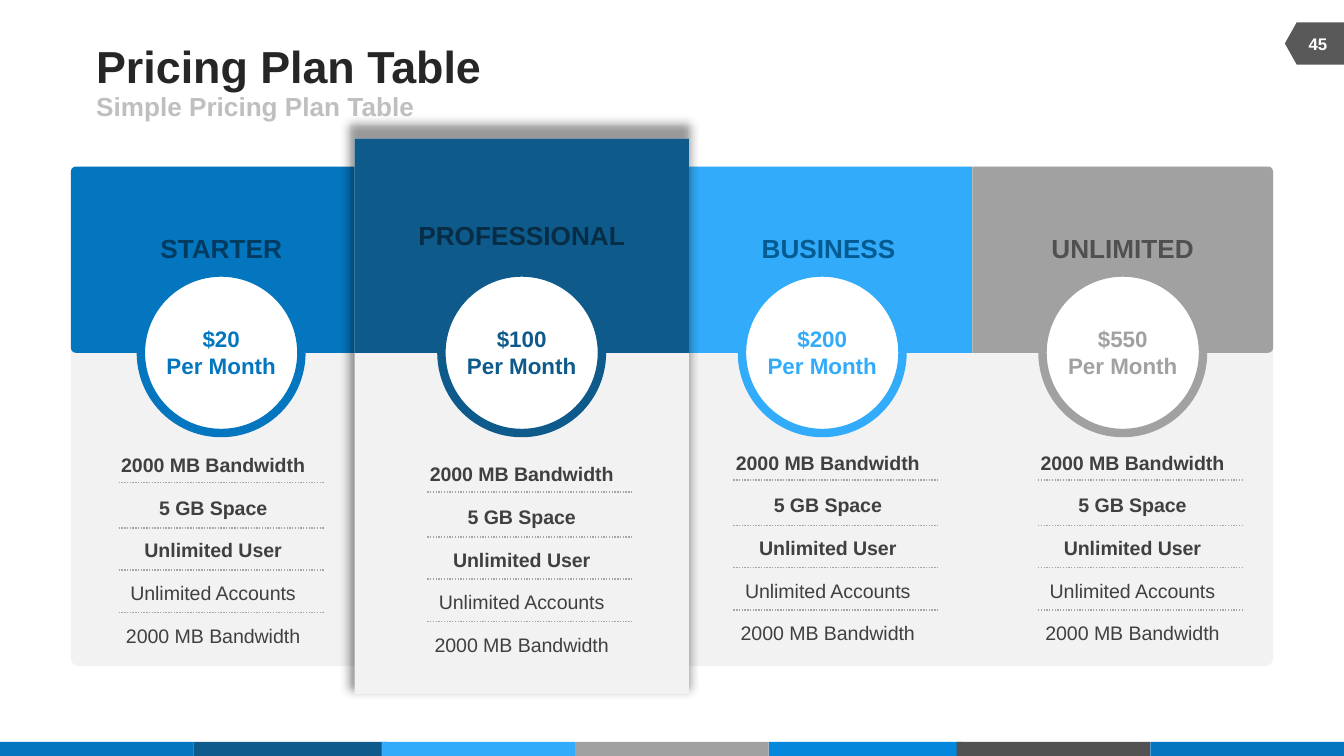
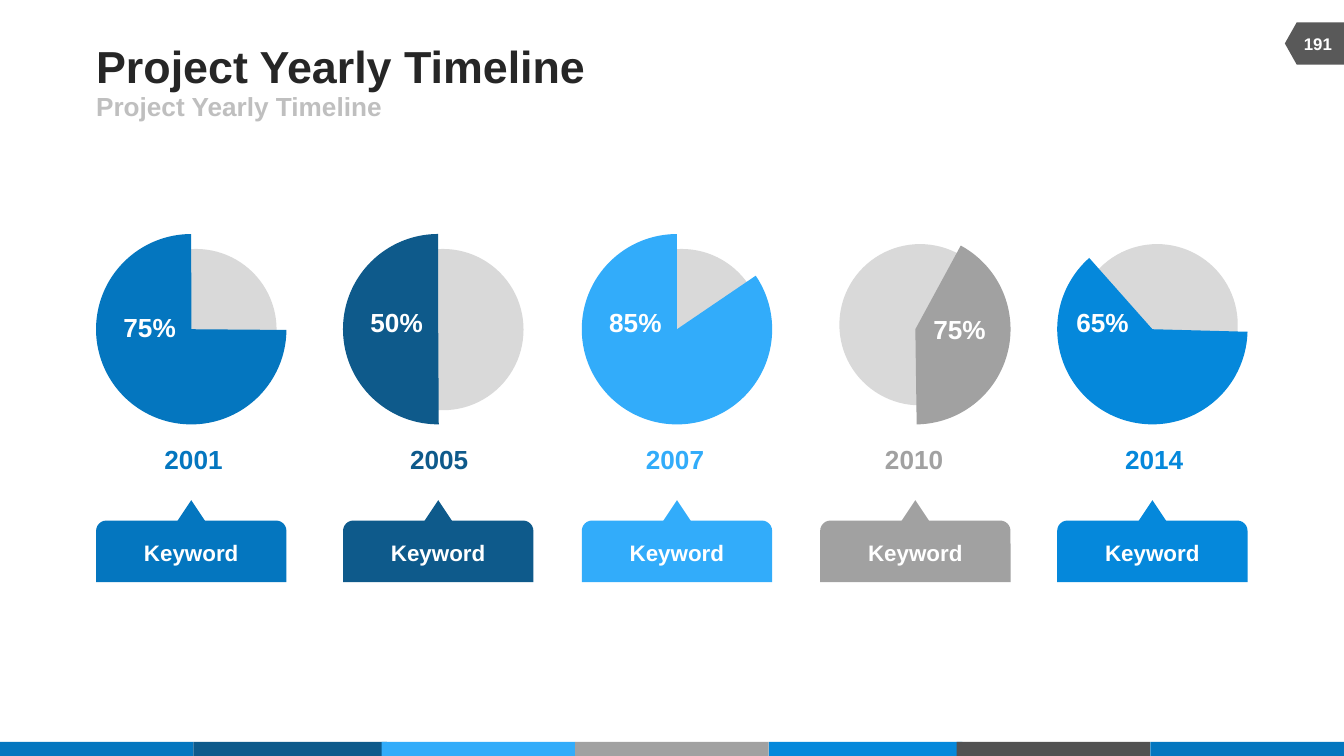
from dataclasses import dataclass

from lxml import etree
from pptx import Presentation
from pptx.dml.color import RGBColor
from pptx.enum.dml import MSO_LINE
from pptx.enum.shapes import MSO_CONNECTOR, MSO_SHAPE
from pptx.enum.text import MSO_ANCHOR, MSO_AUTO_SIZE, PP_ALIGN
from pptx.oxml.ns import qn
from pptx.util import Pt

RECTANGLE = MSO_SHAPE.RECTANGLE
ROUNDED = MSO_SHAPE.ROUND_2_SAME_RECTANGLE
ELLIPSE = MSO_SHAPE.OVAL
PIE = MSO_SHAPE.PIE
TRIANGLE = MSO_SHAPE.ISOSCELES_TRIANGLE
TAG = MSO_SHAPE.FLOWCHART_OFFPAGE_CONNECTOR
STRAIGHT = MSO_CONNECTOR.STRAIGHT
DOTTED = MSO_LINE.ROUND_DOT
MIDDLE, TOP = MSO_ANCHOR.MIDDLE, MSO_ANCHOR.TOP
FIXED, GROW = MSO_AUTO_SIZE.NONE, MSO_AUTO_SIZE.SHAPE_TO_FIT_TEXT
LEFT, CENTER = PP_ALIGN.LEFT, PP_ALIGN.CENTER


@dataclass(frozen=True)
class Theme:
    font: str = "Arial"
    blue: str = "0476BF"
    navy: str = "0E5A8B"
    sky: str = "32ACFA"
    gray: str = "A1A1A1"
    azure: str = "0588DB"
    charcoal: str = "525252"
    tag: str = "595959"
    title: str = "262626"
    subtitle: str = "BFBFBF"
    body: str = "404040"
    rule: str = "A6A6A6"
    panel: str = "F2F2F2"
    disc: str = "D9D9D9"
    white: str = "FFFFFF"
    title_size: float = 24
    heading_size: float = 14
    label_size: float = 12
    feature_size: float = 10.5
    tag_size: float = 9


THEME = Theme()


@dataclass(frozen=True)
class Box:
    left: float
    top: float
    width: float
    height: float

    def inner(self, left, top, width, height):
        return Box(self.left + left, self.top + top, width, height)

    def turned(self):
        shift = (self.width - self.height) / 2
        return self.inner(shift, -shift, self.height, self.width)

    def points(self):
        return [Pt(value) for value in (self.left, self.top, self.width, self.height)]


@dataclass(frozen=True)
class Plan:
    name: str
    price: str
    color: str
    name_color: str
    name_width: float
    name_shift: float
    list_left: float
    list_top: float
    kind: int = RECTANGLE
    rotation: int = 270
    raised: bool = False


@dataclass(frozen=True)
class Year:
    year: str
    year_shift: float
    share: str
    color: str
    left: float
    start: float
    end: float
    disc_top: float
    share_left: float
    share_top: float


PLANS = (
    Plan("STARTER", "$20", THEME.blue, "023B60", 65.5, 0, 13.6, 232.8, ROUNDED),
    Plan("PROFESSIONAL", "$100", THEME.navy, "072D46", 111.6, 0, 17.9, 237.8, raised=True),
    Plan("BUSINESS", "$200", THEME.sky, "045B92", 72.7, 3.4, 20.9, 231.5),
    Plan("UNLIMITED", "$550", THEME.gray, "505050", 77, 0, 23.1, 231.5, ROUNDED, 90),
)
FEATURES = (
    ("2000 MB Bandwidth", True),
    ("5 GB Space", True),
    ("Unlimited User", True),
    ("Unlimited Accounts", False),
    ("2000 MB Bandwidth", False),
)
YEARS = (
    Year("2001", 1.2, "75%", THEME.blue, 51.5, 0.45, 270, 8, 9.2, 41.5),
    Year("2005", 0.5, "50%", THEME.navy, 183.8, 89.66, 270, 8, 9.2, 38.9),
    Year("2007", -1.1, "85%", THEME.sky, 311.7, 325.81, 270, 8, 9.2, 38.9),
    Year("2010", -0.7, "75%", THEME.gray, 439.4, 298.5, 89.19, 5.4, 55.2, 42.5),
    Year("2014", 0.9, "65%", THEME.azure, 566.4, 1.55, 228.44, 5.4, 4.8, 38.9),
)


def set_values(target, values):
    for name, value in values.items():
        setattr(target, name, value)


def write(frame, lines, size, color, align=CENTER, wrap=False, inset=0,
          anchor=TOP, fit=GROW, spacing=None):
    set_values(frame, {"word_wrap": wrap, "auto_size": fit, "vertical_anchor": anchor})
    if inset is not None:
        sides = ("left", "top", "right", "bottom")
        set_values(frame, {f"margin_{side}": Pt(inset) for side in sides})
    for index, (text, bold) in enumerate(lines):
        para = frame.add_paragraph() if index else frame.paragraphs[0]
        set_values(para, {"alignment": align, **(spacing or {})})
        span = para.add_run()
        span.text = text
        set_values(span.font, {"name": THEME.font, "size": Pt(size), "bold": bold})
        span.font.color.rgb = RGBColor.from_string(color)


def add_text(page, box, lines, size, color, **options):
    if isinstance(lines, str):
        lines = [(lines, True)]
    frame = page.shapes.add_textbox(*box.points()).text_frame
    write(frame, lines, size, color, **options)


def add_shape(page, kind, box, fill, rotation=0, adjustments=(), outline=None):
    placed = box.turned() if rotation else box
    shape = page.shapes.add_shape(kind, *placed.points())
    shape.rotation = rotation
    shape.shadow.inherit = False
    shape.fill.solid()
    shape.fill.fore_color.rgb = RGBColor.from_string(fill)
    if outline:
        shape.line.color.rgb = RGBColor.from_string(outline)
        shape.line.width = Pt(4.5)
    else:
        shape.line.fill.background()
    for index, value in enumerate(adjustments):
        shape.adjustments[index] = value
    return shape


def add_glow(shape):
    effects = shape.element.spPr.find(qn("a:effectLst"))
    glow = etree.SubElement(
        effects, qn("a:outerShdw"), blurRad="63500", sx="102000", sy="102000",
        algn="ctr", rotWithShape="0")
    black = etree.SubElement(glow, qn("a:prstClr"), val="black")
    etree.SubElement(black, qn("a:alpha"), val="40000")


def add_rule(page, left, top, length):
    rule = page.shapes.add_connector(
        STRAIGHT, Pt(left), Pt(top), Pt(left + length), Pt(top))
    rule.line.color.rgb = RGBColor.from_string(THEME.rule)
    set_values(rule.line, {"width": Pt(0.75), "dash_style": DOTTED})
    etree.SubElement(rule.element.spPr, qn("a:effectLst"))


def add_layout_parts(layout, page, box):
    colors = (THEME.blue, THEME.navy, THEME.sky, THEME.gray, THEME.azure,
              THEME.charcoal, THEME.blue)
    lefts = (0, 103.6, 204.5, 308.1, 411.9, 512.5, 616.3)
    parts = [
        add_shape(page, RECTANGLE, box.inner(left, box.height - 7.5, 103.7, 7.5), color)
        for left, color in zip(lefts, colors)
    ]
    parts.append(add_shape(page, TAG, box.inner(688.3, 12, 31.7, 22.6), THEME.tag, 90))
    for part in parts:
        layout.shapes.element.append(part.element)


def add_header(page, box, title, subtitle, number):
    place = box.inner(51.5, 21, 444, 28)
    heading = page.shapes.title
    names = ("left", "top", "width", "height")
    set_values(heading, dict(zip(names, place.points())))
    style = {"align": LEFT, "anchor": MIDDLE, "fit": FIXED}
    write(heading.text_frame, [(title, True)], THEME.title_size, THEME.title, **style)
    add_text(page, box.inner(51.5, 49, 324, 16), subtitle,
             THEME.heading_size, THEME.subtitle, **style)
    add_text(page, box.inner(690.8, 12.5, 30.5, 21.6), number, THEME.tag_size,
             THEME.white, anchor=MIDDLE, fit=FIXED, wrap=True, inset=None)


def add_plan_panel(page, box, plan):
    head = 99.8
    if plan.raised:
        box = box.inner(-9, -15, box.width + 18, box.height + 30)
        head += 15
    corners = (0.026, 0) if plan.kind == ROUNDED else ()
    panel = add_shape(page, plan.kind, box, THEME.panel, plan.rotation, corners)
    if plan.raised:
        add_glow(panel)
    add_shape(page, plan.kind, box.inner(0, 0, box.width, head), plan.color,
              plan.rotation, corners)


def add_plan_price(page, box, plan):
    middle = box.width / 2
    add_shape(page, ELLIPSE, box.inner(middle - 43, 56.8, 86, 86),
              THEME.white, outline=plan.color)
    name_left = middle - plan.name_width / 2 + plan.name_shift
    name_top = 28.3 if plan.raised else 35.3
    add_text(page, box.inner(name_left, name_top, plan.name_width, 17), plan.name,
             THEME.heading_size, plan.name_color)
    add_text(page, box.inner(middle - 29.5, 85.1, 59, 29),
             [(plan.price, True), ("Per Month", True)], THEME.label_size, plan.color)


def add_plan_features(page, box):
    add_text(page, box, FEATURES, THEME.feature_size, THEME.body, wrap=True,
             inset=None, spacing={"line_spacing": 1.5, "space_before": Pt(4)})
    for offset in (25.7, 50, 72.5, 95.3):
        add_rule(page, box.left + 12, box.top + offset, 110)


def add_pricing(page, box):
    width = box.width / len(PLANS)
    columns = [(box.inner(index * width, 0, width, box.height), plan)
               for index, plan in enumerate(PLANS)]
    for column, plan in sorted(columns, key=lambda pair: pair[1].raised):
        add_plan_panel(page, column, plan)
    for column, plan in columns:
        add_plan_price(page, column, plan)
        add_plan_features(page, column.inner(
            plan.list_left, plan.list_top - box.top, 125.3, 118.8))


def add_year(page, box, item):
    add_shape(page, ELLIPSE, box.inner(10.3, item.disc_top, 86.4, 86.4), THEME.disc)
    add_shape(page, PIE, box.inner(0, 0, box.width, box.width), item.color,
              adjustments=(item.start * 0.6, item.end * 0.6))
    add_text(page, box.inner(item.share_left, item.share_top, 39, 17), item.share,
             THEME.heading_size, THEME.white, wrap=True)
    middle = box.width / 2
    add_text(page, box.inner(middle + item.year_shift - 16, 112.3, 32, 17), item.year,
             THEME.heading_size, item.color)
    add_shape(page, TRIANGLE, box.inner(middle - 11, 142.6, 22, 16.5), item.color)
    callout = add_shape(page, ROUNDED, box.inner(0, 153.5, box.width, 33), item.color)
    write(callout.text_frame, [("Keyword", True)], THEME.label_size, THEME.white,
          wrap=True, inset=None, anchor=MIDDLE, fit=FIXED)


def add_timeline(page, box):
    for item in YEARS:
        add_year(page, box.inner(item.left, 0, 102, box.height), item)


def main():
    deck = Presentation()
    canvas = Box(0, 0, 720, 405)
    deck.slide_width, deck.slide_height = Pt(canvas.width), Pt(canvas.height)
    layout = deck.slide_layouts[5]

    pricing = deck.slides.add_slide(layout)
    add_layout_parts(layout, pricing, canvas)
    add_header(pricing, canvas, "Pricing Plan Table", "Simple Pricing Plan Table", "45")
    add_pricing(pricing, Box(38, 89.2, 644, 267.6))

    timeline = deck.slides.add_slide(layout)
    add_header(timeline, canvas, "Project Yearly Timeline", "Project Yearly Timeline", "191")
    add_timeline(timeline, Box(0, 125.4, 720, 187))

    deck.save("out.pptx")


if __name__ == "__main__":
    main()
